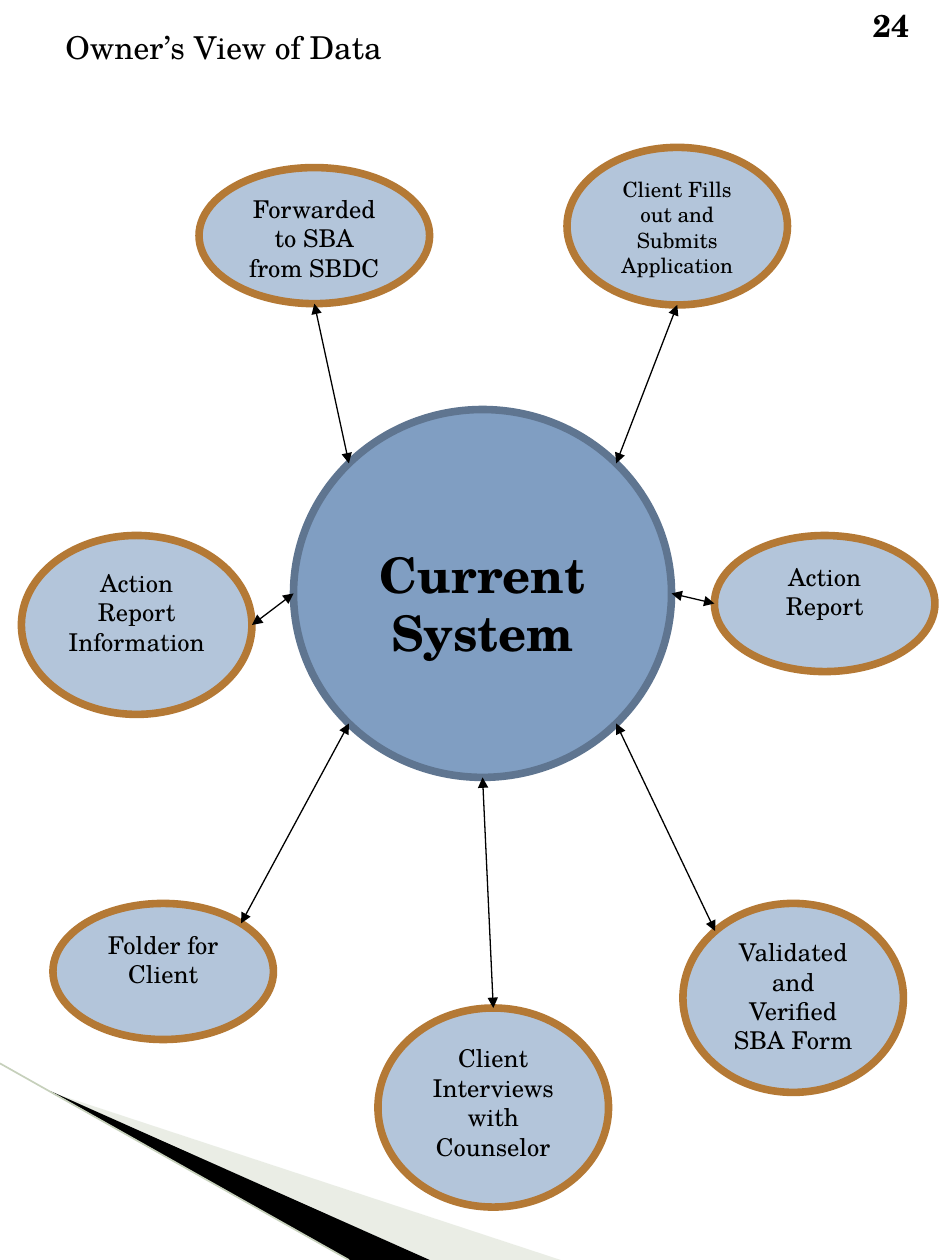
from dataclasses import dataclass
from math import hypot

import pptx
import pptx.dml.color
import pptx.enum.shapes
import pptx.enum.text
import pptx.oxml.ns
import pptx.util
from lxml import etree
from pptx.util import Inches

FONT = "TeX Gyre Schola"
Point = tuple[float, float]

LEFT, RIGHT, TOP, BOTTOM = (-1, 0), (1, 0), (0, -1), (0, 1)
TOP_LEFT, TOP_RIGHT, BOTTOM_LEFT, BOTTOM_RIGHT = (-1, -1), (1, -1), (-1, 1), (1, 1)


@dataclass(frozen=True)
class Bubble:
    text: str
    left: float
    top: float
    width: float
    height: float
    size: int = 14
    bold: bool = False
    fill: str = "B3C5DA"
    outline: str = "B47935"
    top_inset: float = 0.05

    def edge(self, direction: Point) -> Point:
        """Point on the outline in one of the eight compass directions."""
        dx, dy = direction
        length = hypot(dx, dy)
        return (self.left + self.width / 2 * (1 + dx / length),
                self.top + self.height / 2 * (1 + dy / length))


@dataclass(frozen=True)
class Step:
    bubble: Bubble
    bubble_side: Point
    hub_side: Point


HUB = Bubble("Current System", 2.33, 3.25, 3, 2.92, size=28, bold=True,
             fill="809EC2", outline="5F7590", top_inset=0.64)
STEPS = [
    Step(Bubble("Forwarded\nto SBA\nfrom SBDC", 1.58, 1.33, 1.83, 1.08), BOTTOM, TOP_LEFT),
    Step(Bubble("Client Fills out and Submits\nApplication", 4.5, 1.17, 1.75, 1.25, size=12),
         BOTTOM, TOP_RIGHT),
    Step(Bubble("Action Report", 5.67, 4.25, 1.75, 1.08), LEFT, RIGHT),
    Step(Bubble("Folder for Client", 0.42, 7.17, 1.75, 1.08), TOP_RIGHT, BOTTOM_LEFT),
    Step(Bubble("Client Interviews with Counselor", 3, 8, 1.83, 1.58), TOP, BOTTOM),
    Step(Bubble("Validated and Verified SBA Form", 5.42, 7.17, 1.75, 1.5),
         TOP_LEFT, BOTTOM_RIGHT),
    Step(Bubble("Action Report\nInformation", 0.17, 4.25, 1.83, 1.42), RIGHT, LEFT),
]


def rgb(value: str) -> pptx.dml.color.RGBColor:
    return pptx.dml.color.RGBColor.from_string(value)


def write(frame, text: str, *, size: int, bold: bool = False, color: str = "000000",
          align=pptx.enum.text.PP_ALIGN.LEFT, top_inset: float = 0.05) -> None:
    frame.word_wrap = True
    frame.vertical_anchor = pptx.enum.text.MSO_ANCHOR.TOP
    frame.margin_top = Inches(top_inset)
    frame.text = text
    for paragraph in frame.paragraphs:
        paragraph.alignment = align
        paragraph.font.name = FONT
        paragraph.font.size = pptx.util.Pt(size)
        paragraph.font.bold = bold
        paragraph.font.color.rgb = rgb(color)


def add_label(slide, text: str, left: float, top: float, width: float, height: float,
              bold: bool = False) -> None:
    box = slide.shapes.add_textbox(Inches(left), Inches(top), Inches(width), Inches(height))
    write(box.text_frame, text, size=18, bold=bold)


def add_bubble(slide, bubble: Bubble) -> None:
    oval = slide.shapes.add_shape(
        pptx.enum.shapes.MSO_SHAPE.OVAL, Inches(bubble.left), Inches(bubble.top),
        Inches(bubble.width), Inches(bubble.height))
    oval.shadow.inherit = False
    oval.fill.solid()
    oval.fill.fore_color.rgb = rgb(bubble.fill)
    oval.line.color.rgb = rgb(bubble.outline)
    oval.line.width = pptx.util.Pt(4.33)
    write(oval.text_frame, bubble.text, size=bubble.size, bold=bubble.bold,
          align=pptx.enum.text.PP_ALIGN.CENTER, top_inset=bubble.top_inset)


def add_line(slide, start: Point, end: Point, color: str, width: float,
             arrows: bool = False) -> None:
    line = slide.shapes.add_connector(
        pptx.enum.shapes.MSO_CONNECTOR.STRAIGHT,
        *(Inches(value) for value in (*start, *end)))
    line.line.color.rgb = rgb(color)
    line.line.width = pptx.util.Pt(width)
    if arrows:
        outline = line.line._get_or_add_ln()
        for tag in ("a:headEnd", "a:tailEnd"):
            etree.SubElement(outline, pptx.oxml.ns.qn(tag), type="triangle")
    etree.SubElement(line._element.spPr, pptx.oxml.ns.qn("a:effectLst"))


def add_wedge(slide, corners: list[Point], color: str, opacity: int = 100) -> None:
    start, *others = [(Inches(x), Inches(y)) for x, y in corners]
    builder = slide.shapes.build_freeform(*start)
    builder.add_line_segments(others, close=True)
    wedge = builder.convert_to_shape()
    wedge.shadow.inherit = False
    wedge.fill.solid()
    wedge.fill.fore_color.rgb = rgb(color)
    wedge.line.fill.background()
    if opacity < 100:
        fill_color = wedge._element.spPr.find(".//" + pptx.oxml.ns.qn("a:srgbClr"))
        etree.SubElement(fill_color, pptx.oxml.ns.qn("a:alpha"), val=str(opacity * 1000))


def main() -> None:
    deck = pptx.Presentation()
    deck.slide_width, deck.slide_height = Inches(7.5), Inches(10)
    slide = deck.slides.add_slide(deck.slide_layouts[6])

    add_wedge(slide, [(0.41, 8.67), (4.45, 10), (3.41, 10)], "CBD4C0", opacity=40)
    add_wedge(slide, [(0.4, 8.66), (3.41, 10), (2.77, 10)], "000000")
    add_line(slide, (0, 8.44), (2.77, 10), "C6D0BB", 0.95)

    add_label(slide, "Owner’s View of Data", 0.42, 0.17, 6.25, 0.4)
    add_label(slide, "24", 6.83, 0, 0.58, 0.4, bold=True)

    add_bubble(slide, HUB)
    for step in STEPS:
        add_bubble(slide, step.bubble)
    for step in STEPS:
        add_line(slide, step.bubble.edge(step.bubble_side), HUB.edge(step.hub_side),
                 "000000", 0.75, arrows=True)

    deck.save("out.pptx")


if __name__ == "__main__":
    main()
